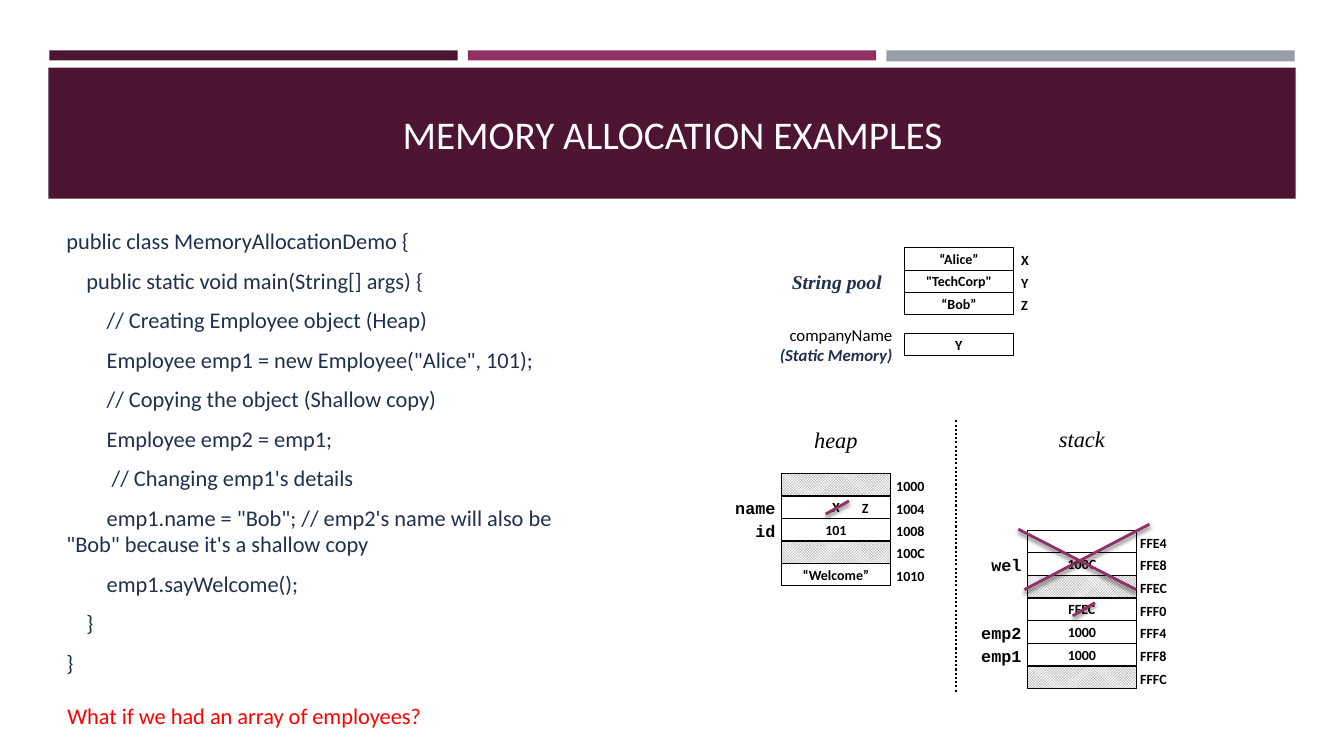
from dataclasses import dataclass

from lxml.etree import SubElement
from pptx import Presentation
from pptx.dml.color import RGBColor
from pptx.enum.dml import MSO_LINE, MSO_PATTERN
from pptx.enum.shapes import MSO_CONNECTOR, MSO_SHAPE
from pptx.enum.text import MSO_ANCHOR as Anchor, PP_ALIGN as Align
from pptx.oxml.ns import qn
from pptx.util import Inches, Pt

PLUM, BERRY, GREY = "4D1434", "903163", "969FA7"
NAVY, BLACK, WHITE, RED = "20304E", "000000", "FFFFFF", "FF0000"
CELL_WIDTH, CELL_HEIGHT = 1.08, 0.22
LEVEL_INDENT = 0.2


@dataclass(frozen=True)
class Style:
    size: float = 10
    font: str = "Calibri"
    color: str = BLACK
    bold: bool = False
    italic: bool = False


@dataclass(frozen=True)
class Cell:
    value: str = ""
    address: str = ""
    variable: str = ""
    shaded: bool = False


@dataclass(frozen=True)
class Memory:
    left: float
    top: float
    step: float
    address_left: float
    cells: tuple[Cell, ...]


@dataclass(frozen=True)
class Label:
    text: str
    box: tuple[float, float, float, float]
    style: Style
    align: Align = Align.CENTER
    anchor: Anchor = Anchor.TOP


VALUE = Style(bold=True)
VARIABLE = Style(12, "Courier New", bold=True)
CODE = Style(16, color=NAVY)
REGION = Style(16, "Times New Roman", italic=True)

HEADER_BARS = (
    (0.49, 0.5, 4.05, 0.1, PLUM),
    (4.64, 0.5, 4.05, 0.1, BERRY),
    (8.79, 0.5, 4.05, 0.11, GREY),
    (0.48, 0.67, 12.37, 1.3, PLUM),
)

CODE_LINES = (
    (0, "public class MemoryAllocationDemo {"),
    (1, "public static void main(String[] args) {"),
    (2, "// Creating Employee object (Heap)"),
    (2, 'Employee emp1 = new Employee("Alice", 101);'),
    (2, "// Copying the object (Shallow copy)"),
    (2, "Employee emp2 = emp1;"),
    (2.25, "// Changing emp1's details"),
    (2, 'emp1.name = "Bob"; // emp2\'s name will also be "Bob" because it\'s a shallow copy'),
    (2, "emp1.sayWelcome();"),
    (1, "}"),
    (0, "}"),
)

MEMORIES = (
    Memory(8.97, 2.46, 0.22, 10.03, (
        Cell("“Alice”", "X"), Cell('"TechCorp"', "Y"), Cell("“Bob”", "Z"))),
    Memory(8.97, 3.31, 0.22, 10.03, (Cell("Y"),)),
    Memory(7.75, 4.7, 0.2225, 8.79, (
        Cell(address="1000", shaded=True),
        Cell("X", "1004", "name"),
        Cell("101", "1008", "id"),
        Cell(address="100C", shaded=True),
        Cell("“Welcome”", "1010"))),
    Memory(10.19, 5.26, 0.225, 11.21, (
        Cell(address="FFE4"),
        Cell("100C", "FFE8", "wel"),
        Cell(address="FFEC", shaded=True),
        Cell("FFEC", "FFF0"),
        Cell("1000", "FFF4", "emp2"),
        Cell("1000", "FFF8", "emp1"),
        Cell(address="FFFC", shaded=True))),
)

LABELS = (
    Label("MEMORY ALLOCATION EXAMPLES", (0.64, 0.77, 12.06, 1.11),
          Style(28, color=WHITE), anchor=Anchor.MIDDLE),
    Label("What if we had an array of employees?", (0.57, 6.92, 4.46, 0.36),
          Style(16, color=RED), Align.LEFT, Anchor.MIDDLE),
    Label("String pool", (7.7, 2.63, 1.2, 0.34),
          Style(14, "Times New Roman", NAVY, True, True)),
    Label("companyName", (7.51, 3.17, 1.44, 0.3), Style(12), Align.RIGHT),
    Label("(Static Memory)", (7.51, 3.37, 1.44, 0.3),
          Style(12, color=NAVY, bold=True, italic=True), Align.RIGHT),
    Label("heap", (7.75, 4.18, 1.08, 0.37), REGION),
    Label("stack", (10.19, 4.17, 1.08, 0.37), REGION),
    Label("Z", (8.12, 4.91, 0.92, 0.27), VALUE),
)

STRIKES = (
    (8.42, 4.97, 8.19, 5.1),
    (10.86, 5.98, 10.64, 6.11),
    (11.4, 5.2, 10.16, 5.85),
    (10.1, 5.25, 11.27, 5.85),
)


def rgb(color: str) -> RGBColor:
    return RGBColor.from_string(color)


def style_paragraph(paragraph, style: Style, align: Align) -> None:
    paragraph.alignment = align
    font = paragraph.font
    font.size, font.name = Pt(style.size), style.font
    font.bold, font.italic = style.bold, style.italic
    font.color.rgb = rgb(style.color)


def add_rectangle(slide, left: float, top: float, width: float, height: float, color: str):
    box = slide.shapes.add_shape(MSO_SHAPE.RECTANGLE, *map(Inches, (left, top, width, height)))
    box.shadow.inherit = False
    box.fill.solid()
    box.fill.fore_color.rgb = rgb(color)
    box.line.fill.background()
    return box


def add_label(slide, label: Label) -> None:
    frame = slide.shapes.add_textbox(*map(Inches, label.box)).text_frame
    frame.word_wrap = True
    frame.vertical_anchor = label.anchor
    frame.text = label.text
    style_paragraph(frame.paragraphs[0], label.style, label.align)


def add_code(slide) -> None:
    frame = slide.shapes.add_textbox(*map(Inches, (0.56, 1.98, 5.57, 5))).text_frame
    frame.word_wrap = True
    frame.vertical_anchor = Anchor.MIDDLE
    frame.text = "\n".join(text for _, text in CODE_LINES)
    for paragraph, (level, _) in zip(frame.paragraphs, CODE_LINES):
        style_paragraph(paragraph, CODE, Align.LEFT)
        paragraph.space_before, paragraph.space_after = Pt(3), Pt(6)
        properties = paragraph._p.get_or_add_pPr()
        properties.set("marL", "0")
        properties.set("indent", str(Inches(level * LEVEL_INDENT)))


def add_memory(slide, memory: Memory) -> None:
    """Draw a column of cells with variable names on the left and addresses on the right."""
    for row, cell in enumerate(memory.cells):
        top = memory.top + row * memory.step
        box = add_rectangle(slide, memory.left, top, CELL_WIDTH, CELL_HEIGHT, WHITE)
        box.line.color.rgb = rgb(BLACK)
        box.line.width = Pt(0.75)
        if cell.shaded:
            box.fill.patterned()
            box.fill.pattern = MSO_PATTERN.SMALL_CHECKER_BOARD
            box.fill.fore_color.rgb = rgb("999999")
            box.fill.back_color.rgb = rgb(WHITE)
        if cell.value:
            frame = box.text_frame
            frame.word_wrap = False
            frame.vertical_anchor = Anchor.MIDDLE
            frame.text = cell.value
            style_paragraph(frame.paragraphs[0], VALUE, Align.CENTER)
        if cell.address:
            add_label(slide, Label(cell.address, (memory.address_left, top - 0.01, 0.92, 0.27),
                                   VALUE, Align.LEFT))
        if cell.variable:
            add_label(slide, Label(cell.variable, (memory.left - 0.88, top - 0.03, 0.92, 0.3),
                                   VARIABLE, Align.RIGHT))


def add_line(slide, ends: tuple[float, float, float, float], color: str, width: float):
    """Draw a straight line and return it with its empty effect list."""
    line = slide.shapes.add_connector(MSO_CONNECTOR.STRAIGHT, *map(Inches, ends))
    line.line.color.rgb = rgb(color)
    line.line.width = Pt(width)
    return line, SubElement(line._element.spPr, qn("a:effectLst"))


def add_strike(slide, ends: tuple[float, float, float, float]) -> None:
    _, effects = add_line(slide, ends, BERRY, 2)
    shadow = SubElement(effects, qn("a:outerShdw"), blurRad=str(Pt(3)), dist=str(Pt(2)),
                        dir="5400000", rotWithShape="0")
    shade = SubElement(shadow, qn("a:srgbClr"), val=BLACK)
    SubElement(shade, qn("a:alpha"), val="55000")


def main() -> None:
    deck = Presentation()
    deck.slide_width, deck.slide_height = Inches(13.33), Inches(7.5)
    slide = deck.slides.add_slide(deck.slide_layouts[6])
    for bar in HEADER_BARS:
        add_rectangle(slide, *bar)
    add_code(slide)
    divider, _ = add_line(slide, (9.48, 4.17, 9.48, 6.87), BLACK, 1.5)
    divider.line.dash_style = MSO_LINE.ROUND_DOT
    for memory in MEMORIES:
        add_memory(slide, memory)
    for label in LABELS:
        add_label(slide, label)
    for strike in STRIKES:
        add_strike(slide, strike)
    deck.save("out.pptx")


if __name__ == "__main__":
    main()
